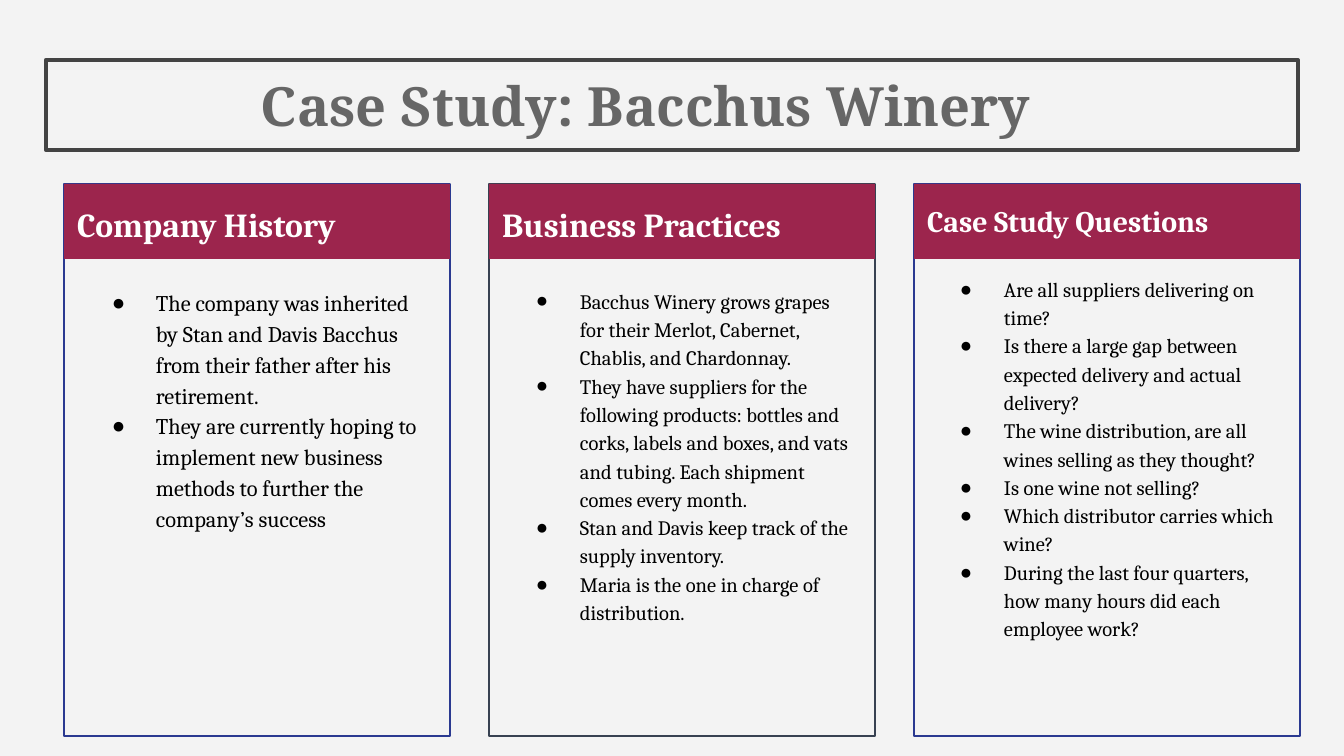
from lxml.etree import SubElement
from pptx import Presentation
from pptx.dml.color import RGBColor
from pptx.enum.shapes import MSO_SHAPE
from pptx.enum.text import MSO_ANCHOR, PP_ALIGN
from pptx.oxml.ns import qn
from pptx.util import Emu, Pt

# Content
TITLE = "Case Study: Bacchus Winery"
COLUMNS = [
    dict(heading="Company History", heading_size=18, heading_lift=0,
         line="blue", body_top=272, body_size=12, bullets=[
             "The company was inherited by Stan and Davis Bacchus from their father "
             "after his retirement.",
             "They are currently hoping to implement new business methods to further "
             "the company’s success"]),
    dict(heading="Business Practices", heading_size=18, heading_lift=0,
         line="slate", body_top=272, body_size=11, bullets=[
             "Bacchus Winery grows grapes for their Merlot, Cabernet, Chablis, "
             "and Chardonnay.",
             "They have suppliers for the following products: bottles and corks, labels "
             "and boxes, and vats and tubing. Each shipment comes every month.",
             "Stan and Davis keep track of the supply inventory.",
             "Maria is the one in charge of distribution."]),
    dict(heading="Case Study Questions", heading_size=16, heading_lift=8,
         line="blue", body_top=260, body_size=11, bullets=[
             "Are all suppliers delivering on time?",
             "Is there a large gap between expected delivery and actual delivery?",
             "The wine distribution, are all wines selling as they thought?",
             "Is one wine not selling?",
             "Which distributor carries which wine?",
             "During the last four quarters, how many hours did each employee work?"]),
]
COLORS = dict(background="F3F3F3", frame="434343", title="666666", wine="9C254D",
              blue="2A3990", slate="374151", white="FFFFFF", black="000000")

# Layout in pixels
SCALE = 914400 / 134.4
COLUMN_LEFT, COLUMN_STEP, COLUMN_TOP = 64, 425, 184
COLUMN_WIDTH, COLUMN_HEIGHT, HEADER_HEIGHT = 386, 552, 75
BODY_LEFT, BODY_STEP, BODY_WIDTH, BODY_HEIGHT = 76, 424, 365, 411
INSET = 13


def px(value):
    return Emu(round(value * SCALE))


def color(name):
    return RGBColor.from_string(COLORS[name])


def add_box(left, top, width, height, fill=None, line=None, line_width=0.75):
    shape = slide.shapes.add_shape(MSO_SHAPE.RECTANGLE, *map(px, (left, top, width, height)))
    shape.shadow.inherit = False
    if fill:
        shape.fill.solid()
        shape.fill.fore_color.rgb = color(fill)
    else:
        shape.fill.background()
    if line:
        shape.line.color.rgb = color(line)
        shape.line.width = Pt(line_width)
    else:
        shape.line.fill.background()
    return shape


def write_text(shape, lines, *, size, font="Cambria", ink="black", bold=False,
               anchor=MSO_ANCHOR.TOP, spacing=1.15, margin=0, indent=0, bullet=None, lift=0):
    frame = shape.text_frame
    frame.word_wrap = True
    frame.vertical_anchor = anchor
    frame.margin_left = frame.margin_right = frame.margin_top = px(INSET)
    frame.margin_bottom = px(INSET + lift)
    for index, line in enumerate(lines):
        paragraph = frame.paragraphs[0] if index == 0 else frame.add_paragraph()
        paragraph.alignment = PP_ALIGN.LEFT
        paragraph.line_spacing = spacing
        run = paragraph.add_run()
        run.text = line
        run.font.size, run.font.name, run.font.bold = Pt(size), font, bold
        run.font.color.rgb = color(ink)
        properties = paragraph._p.get_or_add_pPr()
        properties.set("marL", str(px(margin)))
        properties.set("indent", str(px(indent)))
        if bullet:
            bullet_color = SubElement(properties, qn("a:buClr"))
            SubElement(bullet_color, qn("a:srgbClr"), val=COLORS[ink])
            SubElement(properties, qn("a:buFont"), typeface="Arial")
            SubElement(properties, qn("a:buChar"), char=bullet)


presentation = Presentation()
presentation.slide_width, presentation.slide_height = px(1344), px(756)
slide = presentation.slides.add_slide(presentation.slide_layouts[6])
slide.background.fill.solid()
slide.background.fill.fore_color.rgb = color("background")

# Title frame
title = add_box(46, 60, 1252, 90, line="frame", line_width=2.25)
write_text(title, [TITLE], size=29, font="Noto Serif", ink="title", bold=True,
           anchor=MSO_ANCHOR.MIDDLE, spacing=1.0, margin=135, indent=67)

# Columns: outlined panel, heading band, bullet list
for index, column in enumerate(COLUMNS):
    left = COLUMN_LEFT + index * COLUMN_STEP
    add_box(left, COLUMN_TOP, COLUMN_WIDTH, COLUMN_HEIGHT, line=column["line"])
    heading = add_box(left, COLUMN_TOP, COLUMN_WIDTH, HEADER_HEIGHT, fill="wine")
    write_text(heading, [column["heading"]], size=column["heading_size"], ink="white",
               bold=True, anchor=MSO_ANCHOR.MIDDLE, lift=column["heading_lift"])
    body = slide.shapes.add_textbox(px(BODY_LEFT + index * BODY_STEP), px(column["body_top"]),
                                    px(BODY_WIDTH), px(BODY_HEIGHT))
    write_text(body, column["bullets"], size=column["body_size"],
               margin=67, indent=-44, bullet="●")

presentation.save("out.pptx")
